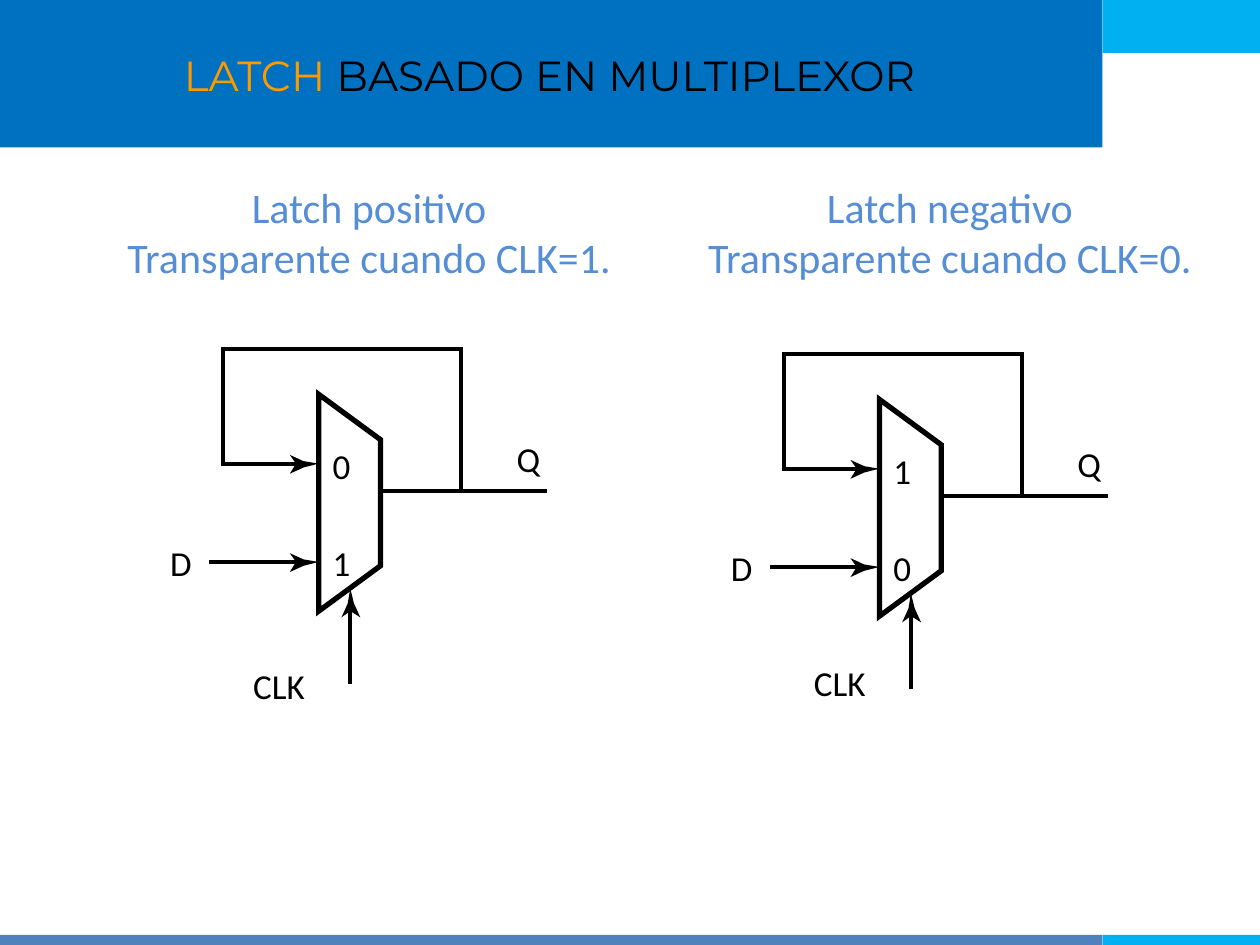
"""Build a slide comparing positive and negative multiplexer latches."""
from dataclasses import dataclass

import pptx
import pptx.dml.color
import pptx.enum.shapes
import pptx.enum.text
import pptx.oxml
import pptx.oxml.ns
import pptx.shapes.autoshape
import pptx.shapes.shapetree
import pptx.slide
import pptx.text.text
import pptx.util
from pptx.util import Inches

RGBColor = pptx.dml.color.RGBColor
Shapes = pptx.shapes.shapetree.GroupShapes
Point = tuple[float, float]

BLUE = RGBColor(0x00, 0x70, 0xC0)
CYAN = RGBColor(0x00, 0xB0, 0xF0)
STEEL = RGBColor(0x4F, 0x81, 0xBD)
CAPTION_BLUE = RGBColor(0x55, 0x8E, 0xD5)
ORANGE = RGBColor(0xFF, 0x99, 0x00)
BLACK = RGBColor(0x00, 0x00, 0x00)

FEEDBACK = [(1.13, 0.76), (1.13, -0.36), (-0.76, -0.36), (-0.76, 0.55), (-0.18, 0.55)]
MUX = [(0, 1.72), (0.49, 1.36), (0.49, 0.36), (0, 0)]
WIRES = [((0.49, 0.77), (1.81, 0.77)), ((-0.18, 1.33), (-0.87, 1.33)),
         ((0.25, 1.72), (0.25, 2.3))]
ARROWHEAD = [(0, 0), (-0.12, -0.02), (-0.23, -0.07), (-0.18, 0),
             (-0.23, 0.08), (-0.12, 0.03)]
INPUT_TIPS = [(0, 0.55), (0, 1.33)]
CLOCK_TIP = (0.25, 1.54)


@dataclass(frozen=True)
class Band:
    left: float
    top: float
    width: float
    height: float
    color: RGBColor


@dataclass(frozen=True)
class Latch:
    name: str
    caption_left: float
    left: float
    top: float
    feedback_input: str
    data_input: str
    clock_label_top: float


BANDS = [
    Band(0, 0, 8.75, 1.17, BLUE),
    Band(8.75, 0, 1.25, 0.42, CYAN),
    Band(0, 7.42, 8.75, 0.08, STEEL),
    Band(8.75, 7.42, 1.25, 0.08, CYAN),
]
LATCHES = [
    Latch("positivo", 0.9, 2.53, 3.13, "0", "1", 2.14),
    Latch("negativo", 5.51, 6.98, 3.17, "1", "0", 2.08),
]


def add_run(paragraph: pptx.text.text._Paragraph, text: str, font: str,
            size: float, color: RGBColor) -> None:
    run = paragraph.add_run()
    run.text = text
    run.font.name = font
    run.font.size = pptx.util.Pt(size)
    run.font.color.rgb = color


def add_bands(slide: pptx.slide.Slide) -> None:
    frame = slide.shapes.add_group_shape()
    for band in BANDS:
        bar = frame.shapes.add_shape(
            pptx.enum.shapes.MSO_SHAPE.RECTANGLE, Inches(band.left), Inches(band.top),
            Inches(band.width), Inches(band.height))
        bar.shadow.inherit = False
        bar.fill.solid()
        bar.fill.fore_color.rgb = band.color
        bar.line.fill.background()


def add_title(slide: pptx.slide.Slide) -> None:
    title = slide.shapes.title
    title.left, title.top = Inches(0.11), Inches(0.11)
    title.width, title.height = Inches(8.5), Inches(0.97)
    title.text_frame.vertical_anchor = pptx.enum.text.MSO_ANCHOR.MIDDLE
    heading = title.text_frame.paragraphs[0]
    heading.alignment = pptx.enum.text.PP_ALIGN.CENTER
    add_run(heading, "LATCH ", "Montserrat", 24, ORANGE)
    add_run(heading, "BASADO EN MULTIPLEXOR", "Montserrat", 24, BLACK)
    title.element.getparent().append(title.element)


def add_caption(slide: pptx.slide.Slide, latch: Latch) -> None:
    caption = slide.shapes.add_textbox(
        Inches(latch.caption_left), Inches(1.39), Inches(4.06), Inches(0.91)).text_frame
    caption.word_wrap = True
    caption.auto_size = pptx.enum.text.MSO_AUTO_SIZE.SHAPE_TO_FIT_TEXT
    lines = (f"Latch {latch.name}", f"Transparente cuando CLK={latch.data_input}."
             if latch.name == "positivo" else f"Transparente cuando CLK={latch.data_input}.")
    for index, line in enumerate(lines):
        paragraph = caption.add_paragraph() if index else caption.paragraphs[0]
        paragraph.alignment = pptx.enum.text.PP_ALIGN.CENTER
        add_run(paragraph, line, "Calibri", 24, CAPTION_BLUE)


def add_outline(shapes: Shapes, latch: Latch, points: list[Point],
                closed: bool) -> pptx.shapes.autoshape.Shape:
    corners = [(Inches(latch.left + x), Inches(latch.top + y)) for x, y in points]
    builder = shapes.build_freeform(*corners[0])
    builder.add_line_segments(corners[1:], close=closed)
    outline = builder.convert_to_shape()
    outline.shadow.inherit = False
    return outline


def add_stroke(shapes: Shapes, latch: Latch, points: list[Point],
               closed: bool, weight: float) -> None:
    stroke = add_outline(shapes, latch, points, closed)
    stroke.fill.background()
    stroke.line.color.rgb = BLACK
    stroke.line.width = pptx.util.Pt(weight)
    stroke.element.spPr.get_or_add_ln().append(
        pptx.oxml.parse_xml(f'<a:miter {pptx.oxml.ns.nsdecls("a")} lim="800000"/>'))


def add_arrowhead(shapes: Shapes, latch: Latch, tip: Point, upward: bool) -> None:
    points = [(tip[0] + (y if upward else x), tip[1] + (-x if upward else y))
              for x, y in ARROWHEAD]
    head = add_outline(shapes, latch, points, True)
    head.fill.solid()
    head.fill.fore_color.rgb = BLACK
    head.line.fill.background()


def add_wire(shapes: Shapes, latch: Latch, start: Point, end: Point) -> None:
    wire = shapes.add_connector(
        pptx.enum.shapes.MSO_CONNECTOR.STRAIGHT,
        Inches(latch.left + start[0]), Inches(latch.top + start[1]),
        Inches(latch.left + end[0]), Inches(latch.top + end[1]))
    wire.line.color.rgb = BLACK
    wire.line.width = pptx.util.Pt(2.25)
    wire.element.spPr.append(
        pptx.oxml.parse_xml(f'<a:effectLst {pptx.oxml.ns.nsdecls("a")}/>'))


def add_label(shapes: Shapes, latch: Latch, text: str, x: float, y: float,
              width: float) -> None:
    label = shapes.add_textbox(Inches(latch.left + x), Inches(latch.top + y),
                               Inches(width), Inches(0.33)).text_frame
    label.margin_left = label.margin_right = label.margin_top = label.margin_bottom = 0
    label.word_wrap = False
    label.auto_size = pptx.enum.text.MSO_AUTO_SIZE.SHAPE_TO_FIT_TEXT
    add_run(label.paragraphs[0], text, "Calibri", 20, BLACK)


def add_circuit(slide: pptx.slide.Slide, latch: Latch) -> None:
    shapes = slide.shapes.add_group_shape().shapes
    add_stroke(shapes, latch, FEEDBACK, False, 2.25)
    for start, end in WIRES:
        add_wire(shapes, latch, start, end)
    add_stroke(shapes, latch, MUX, True, 3)
    for tip in INPUT_TIPS:
        add_arrowhead(shapes, latch, tip, False)
    add_arrowhead(shapes, latch, CLOCK_TIP, True)
    add_label(shapes, latch, latch.feedback_input, 0.11, 0.4, 0.14)
    add_label(shapes, latch, latch.data_input, 0.11, 1.17, 0.14)
    add_label(shapes, latch, "D", -1.18, 1.17, 0.2)
    add_label(shapes, latch, "Q", 1.57, 0.34, 0.2)
    add_label(shapes, latch, "CLK", -0.52, latch.clock_label_top, 0.56)


def main() -> None:
    deck = pptx.Presentation()
    deck.slide_width, deck.slide_height = Inches(10), Inches(7.5)
    slide = deck.slides.add_slide(deck.slide_layouts[5])
    add_bands(slide)
    add_title(slide)
    for latch in LATCHES:
        add_caption(slide, latch)
        add_circuit(slide, latch)
    deck.save("out.pptx")


if __name__ == "__main__":
    main()
